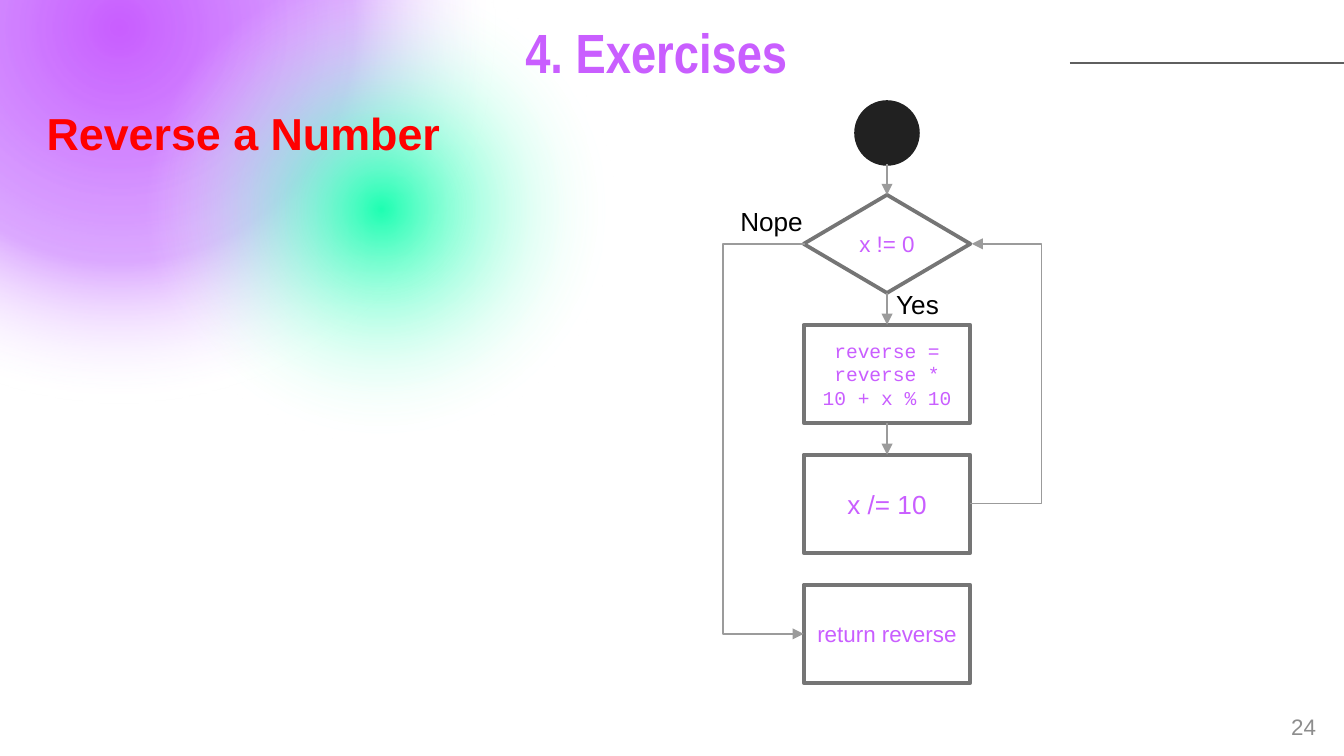
from lxml.etree import SubElement
from pptx import Presentation
from pptx.dml.color import RGBColor
from pptx.enum.shapes import MSO_CONNECTOR as CONN, MSO_SHAPE as SHAPE
from pptx.enum.text import MSO_ANCHOR as ANCHOR, PP_ALIGN as ALIGN
from pptx.oxml import parse_xml
from pptx.oxml.ns import nsdecls, qn
from pptx.util import Inches, Pt


def rgb(hex_code):
    return RGBColor.from_string(hex_code)


def cell(n):
    """Grid units to a length: 100 columns by 56.25 rows on the slide."""
    return Inches(n / 10)


class Flowchart:
    PURPLE, BORDER, ARROW = "C95EFF", "757575", "9B9B9B"
    FONT = "Arial"

    def __init__(self, prs):
        self.shapes = prs.slides.add_slide(prs.slide_layouts[6]).shapes

    def set_text(self, sp, text, size, color, align, anchor, font=FONT, bold=False):
        tf = sp.text_frame
        tf.word_wrap = True
        tf.vertical_anchor = anchor
        p = tf.paragraphs[0]
        p.text, p.alignment = text, align
        p.font.name, p.font.size, p.font.bold = font, Pt(size), bold
        p.font.color.rgb = rgb(color)
        return p

    def label(self, text, box, size, color="000000", align=ALIGN.LEFT,
              anchor=ANCHOR.TOP, **style):
        sp = self.shapes.add_textbox(*map(cell, box))
        return sp, self.set_text(sp, text, size, color, align, anchor, **style)

    def node(self, kind, box, fill="FFFFFF", line=BORDER):
        sp = self.shapes.add_shape(kind, *map(cell, box))
        sp.shadow.inherit = False
        sp.fill.solid()
        sp.fill.fore_color.rgb = rgb(fill)
        sp.line.color.rgb = rgb(line)
        sp.line.width = Pt(2)
        SubElement(sp._element.spPr.find(qn("a:ln")), qn("a:round"))
        return sp

    def step(self, kind, box, text, size, font=FONT):
        sp = self.node(kind, box)
        self.set_text(sp, text, size, self.PURPLE, ALIGN.CENTER, ANCHOR.MIDDLE, font)
        return sp

    def glow(self, box, stops):
        """Circle with a radial gradient; stops are (percent, colour, alpha)."""
        sp = self.shapes.add_shape(SHAPE.OVAL, *map(cell, box))
        sp.shadow.inherit = False
        sp.line.fill.background()
        sp.fill.background()
        gs = "".join(
            f'<a:gs pos="{pos * 1000}"><a:srgbClr val="{color}">'
            f'<a:alpha val="{alpha * 1000}"/></a:srgbClr></a:gs>'
            for pos, color, alpha in stops)
        spPr = sp._element.spPr
        spPr.replace(spPr.find(qn("a:noFill")), parse_xml(
            f'<a:gradFill {nsdecls("a")}><a:gsLst>{gs}</a:gsLst><a:path path="circle">'
            '<a:fillToRect l="50000" t="50000" r="50000" b="50000"/></a:path></a:gradFill>'))

    def line(self, start, end, kind=CONN.STRAIGHT, color=ARROW, arrow=True):
        c = self.shapes.add_connector(kind, *map(cell, start + end))
        c.line.color.rgb = rgb(color)
        c.line.width = Pt(0.75)
        spPr = c._element.spPr
        if arrow:
            SubElement(spPr.find(qn("a:ln")), qn("a:tailEnd"), type="triangle")
        SubElement(spPr, qn("a:effectLst"))
        return c

    def loop(self, start, end, via):
        """Elbow arrow whose vertical part runs at column via."""
        c = self.line(start, end, CONN.ELBOW)
        share = (via - start[0]) / (end[0] - start[0])
        geom = c._element.spPr.find(qn("a:prstGeom"))
        guides = geom.find(qn("a:avLst"))
        if guides is None:
            guides = SubElement(geom, qn("a:avLst"))
        SubElement(guides, qn("a:gd"), name="adj1", fmla=f"val {round(share * 100000)}")


def main():
    prs = Presentation()
    prs.slide_width, prs.slide_height = cell(100), cell(56.25)
    s = Flowchart(prs)

    # Background glows
    s.glow((-23.6, -30.4, 64.9, 64.9), [(0, "C95EFF", 100), (38, "BF62FF", 54),
                                        (61, "FFFFFF", 0), (100, "FFFFFF", 0)])
    s.glow((3.6, -9.2, 49.4, 49.4), [(0, "1EFFB2", 100), (50, "FFFFFF", 0),
                                     (100, "FFFFFF", 0)])

    # Heading, rule and page number
    s.label("24", (93.8, 52.1, 5.1, 3.9), 12, "8D8D8D", ALIGN.RIGHT, ANCHOR.MIDDLE)
    s.line((79.6, 4.7), (100.2, 4.7), color="5F5F5F", arrow=False)
    title, p = s.label("4. Exercises", (38.1, 1.7, 39.1, 5.9), 29.6, s.PURPLE,
                       font="Arial Narrow", bold=True)
    title.text_frame.margin_top = title.text_frame.margin_bottom = cell(1)
    p.line_spacing = 0.7
    s.label("Reverse a Number", (2.4, 7.6, 31.4, 4.6), 24, "FF0000", ALIGN.CENTER,
            ANCHOR.MIDDLE, bold=True)

    # Flow steps, one under another
    left, width, height = 59.8, 12.4, 7.3
    right, center = left + width, left + width / 2
    tops = [14.5 + 9.67 * i for i in range(4)]
    mids = [top + height / 2 for top in tops]
    s.node(SHAPE.OVAL, (center - 2.3, 7.6, 4.6, 4.6), "212121", "212121")
    contents = [
        (SHAPE.DIAMOND, "x != 0", 12),
        (SHAPE.RECTANGLE, "reverse = reverse * 10 + x % 10", 10.5, "Courier New"),
        (SHAPE.RECTANGLE, "x /= 10", 14),
        (SHAPE.RECTANGLE, "return reverse", 12),
    ]
    steps = [s.step(kind, (left, top, width, height), *text)
             for top, (kind, *text) in zip(tops, contents)]

    # Arrows down
    s.line((center, 12.2), (center, tops[0])).end_connect(steps[0], 0)
    for i in range(2):
        c = s.line((center, tops[i] + height), (center, tops[i + 1]))
        c.begin_connect(steps[i], 2)
        c.end_connect(steps[i + 1], 0)

    # Exit and repeat branches
    s.loop((left + 0.1, mids[0]), (left, mids[3]), 53.7)
    s.loop((right, mids[2]), (right + 0.1, mids[0]), 77.6)
    s.label("Nope", (54.1, 14.8, 7, 3.4), 14)
    s.label("Yes", (65.7, 21, 7, 3.4), 14)

    prs.save("out.pptx")


if __name__ == "__main__":
    main()
